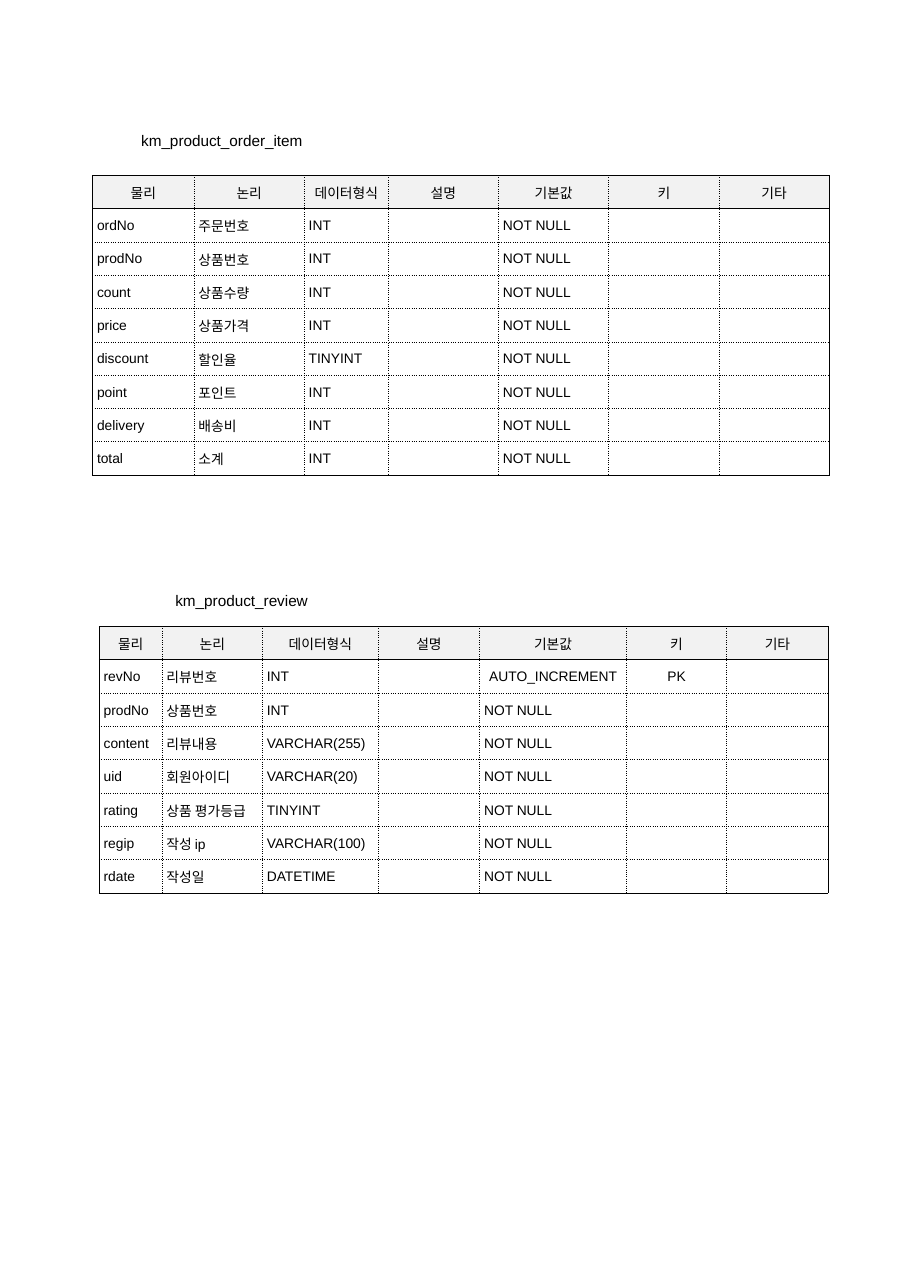
import pptx
import pptx.dml.color
import pptx.enum.text
import pptx.oxml.ns
import pptx.util
from lxml import etree

Inches = pptx.util.Inches
Pt = pptx.util.Pt
RGBColor = pptx.dml.color.RGBColor
ALIGN = pptx.enum.text.PP_ALIGN
ANCHOR = pptx.enum.text.MSO_ANCHOR
qn = pptx.oxml.ns.qn

BLACK = RGBColor(0, 0, 0)
HEADER_GRAY = RGBColor(0xF2, 0xF2, 0xF2)
CAPTION_FONT = {"name": "Arial", "size": Pt(10)}
CELL_FONT = {"name": "Arial", "size": Pt(9)}
CAPTION_FRAME = {
    "margin_left": 0, "margin_right": 0, "margin_top": 0, "margin_bottom": 0,
    "word_wrap": True,
}
CELL_FORMAT = {
    "margin_left": Inches(0.04), "margin_right": Inches(0.04),
    "margin_top": Inches(0.01), "margin_bottom": 0,
    "vertical_anchor": ANCHOR.MIDDLE,
}
TABLE_FLAGS = {"first_row": False, "horz_banding": False}

HEADERS = ("물리", "논리", "데이터형식", "설명", "기본값", "키", "기타")
CENTERED_VALUES = ("AUTO_INCREMENT", "PK")
NOT_NULL = "NOT NULL"

SCHEMAS = [
    {
        "caption": "km_product_order_item",
        "caption_box": (1.28, 1.2, 1.91, 0.15),
        "table_box": (0.67, 1.59, 6.85, 2.72),
        "spacers": 1,
        "columns": (0.17, 0.92, 1, 0.76, 1, 1, 1, 1),
        "fields": [
            ("ordNo", "주문번호", "INT", NOT_NULL, ""),
            ("prodNo", "상품번호", "INT", NOT_NULL, ""),
            ("count", "상품수량", "INT", NOT_NULL, ""),
            ("price", "상품가격", "INT", NOT_NULL, ""),
            ("discount", "할인율", "TINYINT", NOT_NULL, ""),
            ("point", "포인트", "INT", NOT_NULL, ""),
            ("delivery", "배송비", "INT", NOT_NULL, ""),
            ("total", "소계", "INT", NOT_NULL, ""),
        ],
    },
    {
        "caption": "km_product_review",
        "caption_box": (1.59, 5.37, 1.28, 0.15),
        "table_box": (0.9, 5.68, 6.61, 2.42),
        "spacers": 0,
        "columns": (0.57, 0.91, 1.05, 0.92, 1.33, 0.91, 0.92),
        "fields": [
            ("revNo", "리뷰번호", "INT", "AUTO_INCREMENT", "PK"),
            ("prodNo", "상품번호", "INT", NOT_NULL, ""),
            ("content", "리뷰내용", "VARCHAR(255)", NOT_NULL, ""),
            ("uid", "회원아이디", "VARCHAR(20)", NOT_NULL, ""),
            ("rating", "상품 평가등급", "TINYINT", NOT_NULL, ""),
            ("regip", "작성 ip", "VARCHAR(100)", NOT_NULL, ""),
            ("rdate", "작성일", "DATETIME", NOT_NULL, ""),
        ],
    },
]


def apply_format(target, values):
    for name, value in values.items():
        setattr(target, name, value)


def write_text(paragraph, text, font):
    run = paragraph.add_run()
    run.text = text
    apply_format(run.font, font)
    run.font.color.rgb = BLACK


def add_caption(slide, text, box):
    frame = slide.shapes.add_textbox(*map(Inches, box)).text_frame
    apply_format(frame, CAPTION_FRAME)
    paragraph = frame.paragraphs[0]
    paragraph.line_spacing = Pt(11.4)
    write_text(paragraph, text, CAPTION_FONT)


def set_borders(cell, dashes):
    properties = cell._tc.get_or_add_tcPr()
    for side, dash in zip(("lnL", "lnR", "lnT", "lnB"), dashes):
        line = etree.SubElement(properties, qn(f"a:{side}"), w=str(Pt(0.5)))
        if dash is None:
            etree.SubElement(line, qn("a:noFill"))
            continue
        fill = etree.SubElement(line, qn("a:solidFill"))
        etree.SubElement(fill, qn("a:srgbClr"), val=str(BLACK))
        etree.SubElement(line, qn("a:prstDash"), val=dash)


def border_dashes(row, column, last_row, last_column):
    if column < 0:
        return (None, "solid", None, None)
    solid_sides = (column == 0, column == last_column,
                   row <= 1, row in (0, last_row))
    return ["solid" if solid else "sysDot" for solid in solid_sides]


def fill_cell(cell, text, is_header, dashes):
    apply_format(cell, CELL_FORMAT)
    paragraph = cell.text_frame.paragraphs[0]
    if is_header or text in CENTERED_VALUES:
        paragraph.alignment = ALIGN.CENTER
    if text:
        write_text(paragraph, text, CELL_FONT)
    else:
        etree.SubElement(paragraph._p, qn("a:endParaRPr"), sz="900")
    set_borders(cell, dashes)
    if is_header:
        cell.fill.solid()
        cell.fill.fore_color.rgb = HEADER_GRAY
    else:
        cell.fill.background()


def add_schema_table(slide, schema):
    rows = [HEADERS]
    for physical, logical, data_type, default, key in schema["fields"]:
        rows.append((physical, logical, data_type, "", default, key, ""))
    spacers = schema["spacers"]
    widths = schema["columns"]
    table = slide.shapes.add_table(
        len(rows), len(widths), *map(Inches, schema["table_box"])).table
    apply_format(table, TABLE_FLAGS)
    for column, width in zip(table.columns, widths):
        column.width = Inches(width)
    for row_index, values in enumerate(rows):
        for column_index in range(-spacers, len(HEADERS)):
            in_grid = column_index >= 0
            fill_cell(
                table.cell(row_index, column_index + spacers),
                values[column_index] if in_grid else "",
                in_grid and row_index == 0,
                border_dashes(row_index, column_index,
                              len(rows) - 1, len(HEADERS) - 1))


def main():
    presentation = pptx.Presentation()
    presentation.slide_width = Inches(8.26)
    presentation.slide_height = Inches(11.68)
    slide = presentation.slides.add_slide(presentation.slide_layouts[6])
    for schema in SCHEMAS:
        add_caption(slide, schema["caption"], schema["caption_box"])
        add_schema_table(slide, schema)
    presentation.save("out.pptx")


if __name__ == "__main__":
    main()
